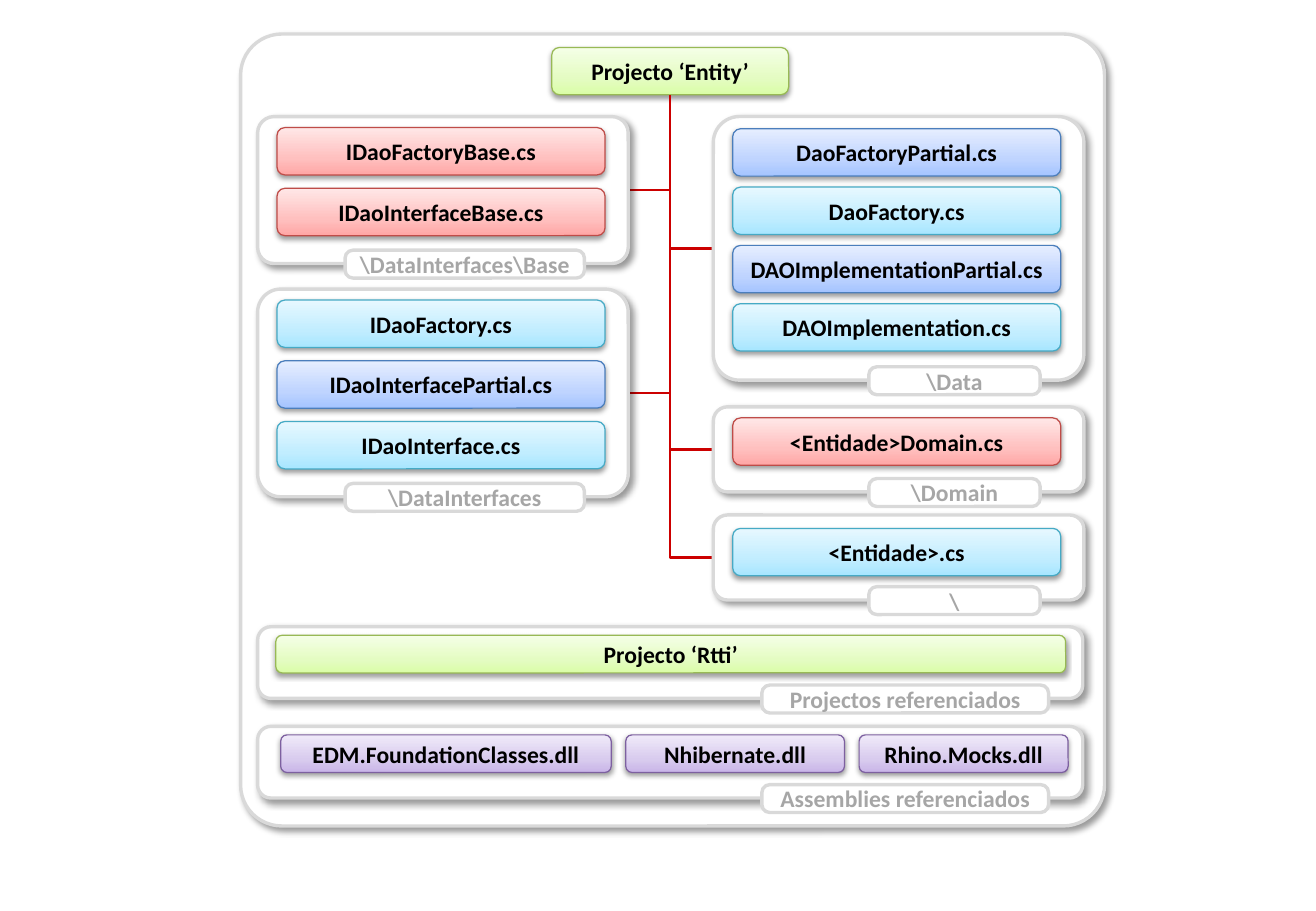
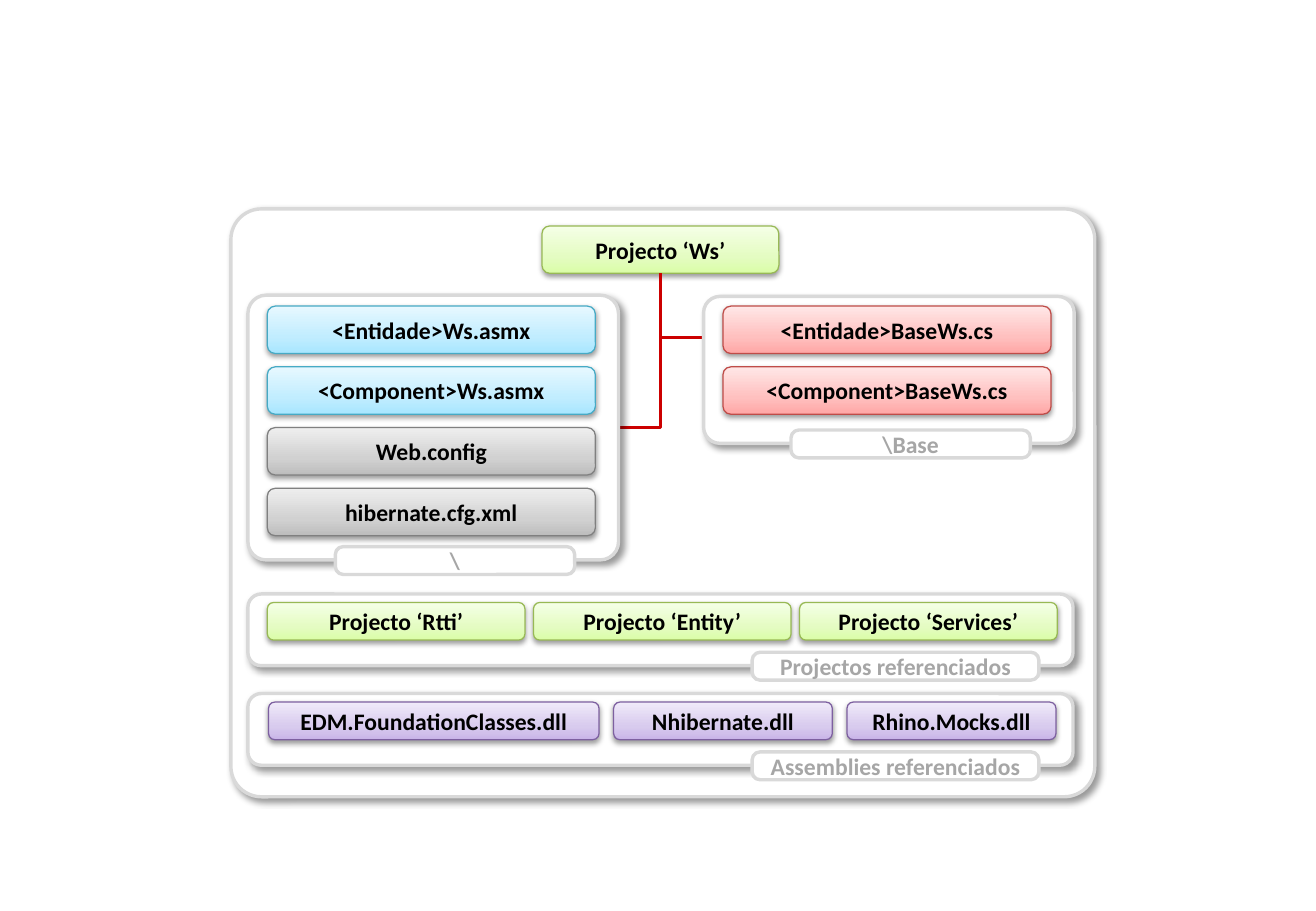
from dataclasses import dataclass, field
from copy import deepcopy

from lxml import etree
from pptx import Presentation
from pptx.dml.color import RGBColor
from pptx.enum.shapes import MSO_CONNECTOR, MSO_SHAPE
from pptx.enum.text import MSO_ANCHOR, PP_ALIGN
from pptx.oxml.ns import qn
from pptx.shapes.autoshape import Shape
from pptx.slide import Slide
from pptx.util import Inches, Pt

ROUNDED = MSO_SHAPE.ROUNDED_RECTANGLE
ELBOW = MSO_CONNECTOR.ELBOW
MIDDLE = MSO_ANCHOR.MIDDLE
CENTER = PP_ALIGN.CENTER


# Theme
@dataclass(frozen=True)
class Tone:
    stops: tuple[str, str, str]
    line: str


@dataclass(frozen=True)
class Shadow:
    opacity: int
    blur: float
    distance: float
    angle: int


@dataclass(frozen=True)
class Theme:
    font: str = "Calibri"
    text_size: float = 14
    card_text: str = "000000"
    label_text: str = "A6A6A6"
    surface: str = "FFFFFF"
    border: str = "D9D9D9"
    branch: str = "CC0000"
    border_width: float = 2
    card_line_width: float = 0.75
    branch_width: float = 1.5
    stop_positions: tuple[float, ...] = (0, 0.35, 1)
    panel_shadow: Shadow = Shadow(40, 4, 3, 45)
    card_shadow: Shadow = Shadow(38, 3.1, 1.6, 90)


THEME = Theme()
GREEN = Tone(("DAFDA7", "E4FCC2", "F5FFE7"), "98B955")
BLUE = Tone(("A4C4FF", "BFD4FF", "E6EEFF"), "4B7EBC")
CYAN = Tone(("A7E6FF", "C1EDFF", "E7F8FF"), "46AAC5")
RED = Tone(("FFA6A5", "FFC0BF", "FFE7E7"), "BF4C48")
PURPLE = Tone(("C9B5E8", "D8CBEE", "F0EAF9"), "7D60A0")
GREY = Tone(("BDBDBD", "D1D1D1", "EEEEEE"), "808080")


# Layout rules shared by both diagrams, in inches
COLUMN_WIDTH, BAR_WIDTH, BAR_HEIGHT = 3.05, 6.79, 0.59
FRAME_WIDTH = 7.11
LEFT_COLUMN, RIGHT_COLUMN, ROOT_OFFSET = 0.14, 3.89, 2.56
ROOT_WIDTH, CARD_WIDTH, CARD_HEIGHT, BAR_CARD_HEIGHT = 1.95, 2.7, 0.39, 0.31
CARD_INDENT, BAR_CARD_INSET = 0.16, 0.07
LABEL_HEIGHT, LABEL_OVERLAP = 0.23, 0.11
COLUMN_LABEL_MARGIN, BAR_LABEL_MARGIN = 0.36, 0.28
WIDE_LABEL, NARROW_LABEL, BAR_LABEL = 1.97, 1.41, 2.36


@dataclass(frozen=True)
class Box:
    left: float
    top: float
    width: float
    height: float

    @property
    def right(self) -> float:
        return self.left + self.width

    @property
    def bottom(self) -> float:
        return self.top + self.height

    @property
    def center(self) -> float:
        return self.left + self.width / 2

    @property
    def middle(self) -> float:
        return self.top + self.height / 2


@dataclass(frozen=True)
class Folder:
    """A column panel with stacked file cards."""
    column: float
    top: float
    height: float
    label: str
    cards: tuple[tuple[str, Tone], ...]
    first_card: float
    corner: float = 0.111
    pitch: float = 0.5
    label_width: float = WIDE_LABEL
    branch_top: float | None = None


@dataclass(frozen=True)
class ReferenceBar:
    """A full-width panel with cards side by side."""
    top: float
    label: str
    tone: Tone
    cards: tuple[tuple[str, float], ...]
    indent: float
    gap: float = 0.12


@dataclass(frozen=True)
class Diagram:
    title: str
    left: float
    top: float
    height: float
    root_top: float
    folders: tuple[Folder, ...]
    bars: tuple[ReferenceBar, ...] = field(default=())


# Drawing functions
def color(value: str) -> RGBColor:
    return RGBColor.from_string(value)


def set_shadow(shape: Shape, shadow: Shadow) -> None:
    effects = shape._element.spPr.find(qn("a:effectLst"))
    outer = etree.SubElement(effects, qn("a:outerShdw"), {
        "blurRad": str(Pt(shadow.blur)), "dist": str(Pt(shadow.distance)),
        "dir": str(shadow.angle * 60000), "rotWithShape": "0"})
    shade = etree.SubElement(outer, qn("a:srgbClr"), val="000000")
    etree.SubElement(shade, qn("a:alpha"), val=str(shadow.opacity * 1000))


def set_gradient(shape: Shape, tone: Tone) -> None:
    shape.fill.gradient()
    shape.fill.gradient_angle = 90
    first_stop = next(shape._element.spPr.iter(qn("a:gs")))
    first_stop.addnext(deepcopy(first_stop))
    for stop, value, position in zip(shape.fill.gradient_stops, tone.stops,
                                     THEME.stop_positions):
        stop.color.rgb = color(value)
        stop.position = position


def set_text(shape: Shape, text: str, text_color: str) -> None:
    shape.text_frame.vertical_anchor = MIDDLE
    paragraph = shape.text_frame.paragraphs[0]
    paragraph.alignment = CENTER
    run = paragraph.add_run()
    run.text = text
    formats = {"name": THEME.font, "size": Pt(THEME.text_size), "bold": True}
    for name, value in formats.items():
        setattr(run.font, name, value)
    run.font.color.rgb = color(text_color)


def add_rounded(slide: Slide, box: Box, line: str, width: float,
                corner: float = 0.167) -> Shape:
    shape = slide.shapes.add_shape(
        ROUNDED, Inches(box.left), Inches(box.top), Inches(box.width), Inches(box.height))
    shape.adjustments[0] = corner
    shape.shadow.inherit = False
    shape.line.color.rgb = color(line)
    shape.line.width = Pt(width)
    return shape


def add_surface(slide: Slide, box: Box, corner: float) -> Shape:
    shape = add_rounded(slide, box, THEME.border, THEME.border_width, corner)
    shape.fill.solid()
    shape.fill.fore_color.rgb = color(THEME.surface)
    return shape


def add_panel(slide: Slide, box: Box, corner: float) -> None:
    set_shadow(add_surface(slide, box, corner), THEME.panel_shadow)


def add_card(slide: Slide, box: Box, text: str, tone: Tone) -> None:
    shape = add_rounded(slide, box, tone.line, THEME.card_line_width)
    set_gradient(shape, tone)
    set_shadow(shape, THEME.card_shadow)
    set_text(shape, text, THEME.card_text)


def add_label(slide: Slide, panel: Box, text: str, width: float, margin: float) -> None:
    box = Box(panel.right - margin - width, panel.bottom - LABEL_OVERLAP,
              width, LABEL_HEIGHT)
    set_text(add_surface(slide, box, 0.285), text, THEME.label_text)


def add_branch(slide: Slide, root: Box, panel: Box, top: float) -> None:
    start = panel.right if panel.right < root.center else panel.left
    connector = slide.shapes.add_connector(
        ELBOW, Inches(start), Inches(top), Inches(root.center), Inches(root.bottom))
    properties = connector._element.spPr
    properties.find(qn("a:prstGeom")).set("prst", "bentConnector2")
    connector.line.color.rgb = color(THEME.branch)
    connector.line.width = Pt(THEME.branch_width)
    etree.SubElement(properties, qn("a:effectLst"))


def add_folder(slide: Slide, panel: Box, folder: Folder) -> None:
    add_panel(slide, panel, folder.corner)
    for index, (text, tone) in enumerate(folder.cards):
        add_card(slide, Box(panel.left + CARD_INDENT,
                            folder.first_card + index * folder.pitch,
                            CARD_WIDTH, CARD_HEIGHT), text, tone)
    add_label(slide, panel, folder.label, folder.label_width, COLUMN_LABEL_MARGIN)


def add_bar(slide: Slide, panel: Box, bar: ReferenceBar) -> None:
    add_panel(slide, panel, 0.186)
    left = panel.left + bar.indent
    for text, width in bar.cards:
        add_card(slide, Box(left, panel.top + BAR_CARD_INSET, width, BAR_CARD_HEIGHT),
                 text, bar.tone)
        left += width + bar.gap
    add_label(slide, panel, bar.label, BAR_LABEL, BAR_LABEL_MARGIN)


def draw_diagram(slide: Slide, diagram: Diagram) -> None:
    add_panel(slide, Box(diagram.left, diagram.top, FRAME_WIDTH, diagram.height), 0.052)
    root = Box(diagram.left + ROOT_OFFSET, diagram.root_top, ROOT_WIDTH, CARD_HEIGHT)
    add_card(slide, root, diagram.title, GREEN)
    panels = [Box(diagram.left + folder.column, folder.top, COLUMN_WIDTH, folder.height)
              for folder in diagram.folders]
    for panel, folder in zip(panels, diagram.folders):
        add_branch(slide, root, panel, folder.branch_top or panel.middle)
    for panel, folder in zip(panels, diagram.folders):
        add_folder(slide, panel, folder)
    for bar in diagram.bars:
        add_bar(slide, Box(diagram.left + LEFT_COLUMN, bar.top, BAR_WIDTH, BAR_HEIGHT), bar)


# Content
PROJECTS, ASSEMBLIES = "Projectos referenciados", "Assemblies referenciados"
LIBRARIES = (("EDM.FoundationClasses.dll", 2.72), ("Nhibernate.dll", 1.8),
             ("Rhino.Mocks.dll", 1.72))

ENTITY = Diagram("Projecto ‘Entity’", 1.98, 0.28, 6.52, 0.39, (
    Folder(LEFT_COLUMN, 0.96, 1.21, "\\DataInterfaces\\Base",
           (("IDaoFactoryBase.cs", RED), ("IDaoInterfaceBase.cs", RED)), 1.05),
    Folder(LEFT_COLUMN, 2.38, 1.71, "\\DataInterfaces",
           (("IDaoFactory.cs", CYAN), ("IDaoInterfacePartial.cs", BLUE),
            ("IDaoInterface.cs", CYAN)), 2.47),
    Folder(RIGHT_COLUMN, 0.96, 2.17, "\\Data",
           (("DaoFactoryPartial.cs", BLUE), ("DaoFactory.cs", CYAN),
            ("DAOImplementationPartial.cs", BLUE), ("DAOImplementation.cs", CYAN)),
           1.06, corner=0.099, pitch=0.48, label_width=NARROW_LABEL),
    Folder(RIGHT_COLUMN, 3.35, 0.7, "\\Domain", (("<Entidade>Domain.cs", RED),),
           3.44, corner=0.167, label_width=NARROW_LABEL),
    Folder(RIGHT_COLUMN, 4.24, 0.7, "\\", (("<Entidade>.cs", CYAN),),
           4.35, corner=0.167, label_width=NARROW_LABEL),
), (
    ReferenceBar(5.16, PROJECTS, GREEN, (("Projecto ‘Rtti’", 6.5),), 0.15),
    ReferenceBar(5.98, ASSEMBLIES, PURPLE, LIBRARIES, 0.19),
))

WEB_SERVICE = Diagram("Projecto ‘Ws’", 1.9, 1.72, 4.84, 1.86, (
    Folder(LEFT_COLUMN, 2.43, 2.18, "\\",
           (("<Entidade>Ws.asmx", CYAN), ("<Component>Ws.asmx", CYAN),
            ("Web.config", GREY), ("hibernate.cfg.xml", GREY)), 2.52, corner=0.069),
    Folder(RIGHT_COLUMN, 2.44, 1.21, "\\Base",
           (("<Entidade>BaseWs.cs", RED), ("<Component>BaseWs.cs", RED)), 2.52,
           branch_top=2.78),
), (
    ReferenceBar(4.89, PROJECTS, GREEN,
                 tuple((f"Projecto ‘{name}’", 2.12) for name in ("Rtti", "Entity", "Services")),
                 0.16, gap=0.07),
    ReferenceBar(5.71, ASSEMBLIES, PURPLE, LIBRARIES, 0.17),
))

# Build
presentation = Presentation()
presentation.slide_width, presentation.slide_height = Inches(10.83), Inches(7.5)
for diagram in (ENTITY, WEB_SERVICE):
    draw_diagram(presentation.slides.add_slide(presentation.slide_layouts[6]), diagram)
presentation.save("out.pptx")
